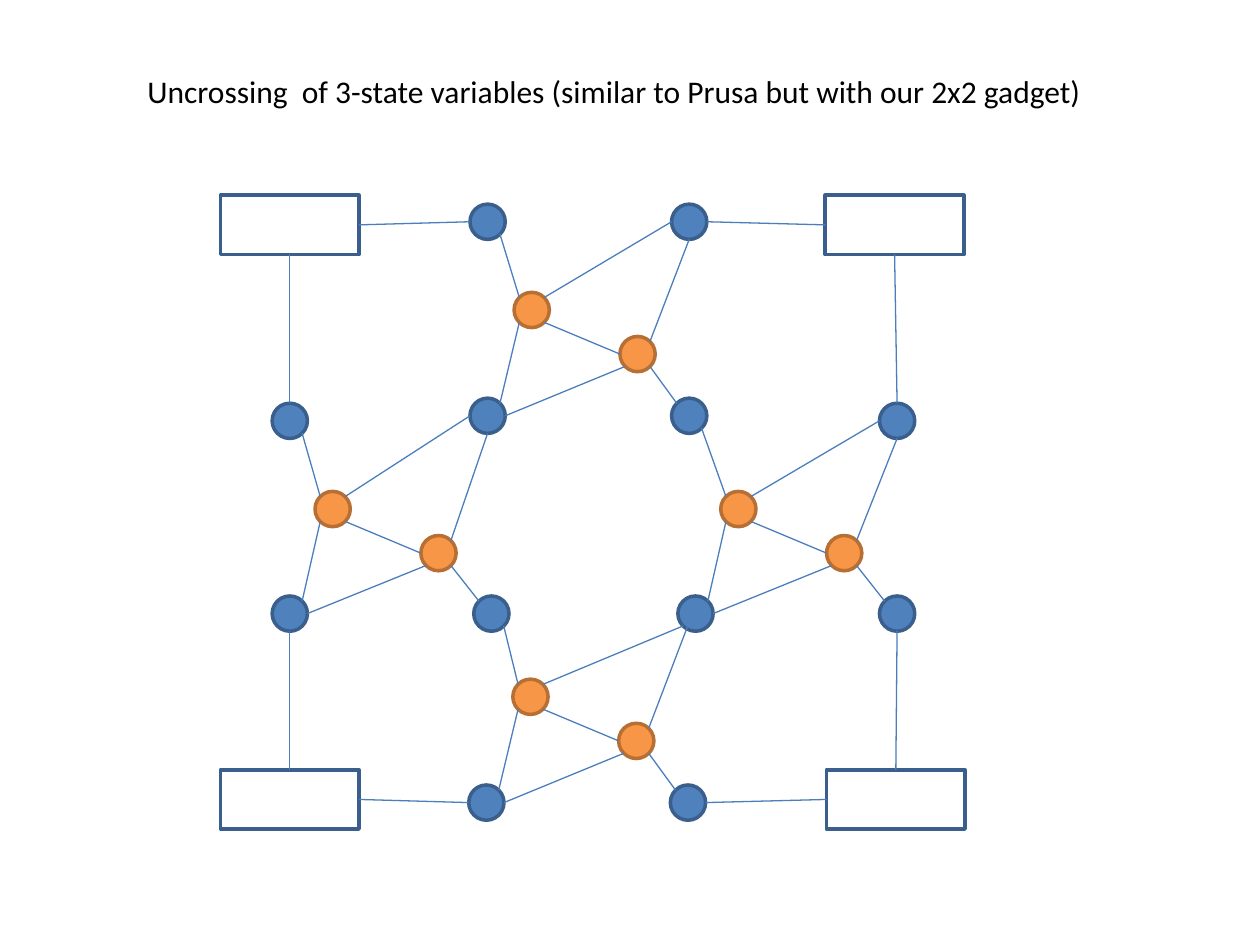
from lxml import etree
from pptx import Presentation
from pptx.dml.color import RGBColor
from pptx.enum import shapes, text
from pptx.oxml.ns import qn
from pptx.util import Inches, Pt

TITLE = "Uncrossing  of 3-state variables (similar to Prusa but with our 2x2 gadget)"
THEME = {
    "font": "Calibri", "title_size": 18, "title": "000000",
    "variable": ("4F81BD", "3A5F8C"), "inner": ("F79646", "B76F34"),
    "terminal": (None, "3A5F8C"), "outline": 2,
    "edge": "4B7EBC", "edge_width": 0.75,
}
NODE_SIZE = (0.28, 0.28)
TERMINAL_SIZE = (1.1, 0.47)

# Left and top of each variable node, named by row and column
VARIABLES = {
    "1b": (3.73, 1.62), "1c": (5.33, 1.62),
    "2a": (2.16, 3.2), "2b": (3.73, 3.16), "2c": (5.33, 3.16), "2d": (6.98, 3.2),
    "3a": (2.16, 4.73), "3b": (3.76, 4.73), "3c": (5.38, 4.73), "3d": (6.98, 4.73),
    "4b": (3.72, 6.23), "4c": (5.32, 6.23),
}
# Each gadget: place of its first inner node, its corner variables,
# and the sites where the two inner nodes meet the NE variable
GADGETS = [
    ((4.08, 2.32), {"nw": "1b", "ne": "1c", "sw": "2b", "se": "2c"}, ("left", "bottom")),
    ((2.5, 3.9), {"nw": "2a", "ne": "2b", "sw": "3a", "se": "3b"}, ("lower left", "bottom")),
    ((5.72, 3.9), {"nw": "2c", "ne": "2d", "sw": "3c", "se": "3d"}, ("left", "bottom")),
    ((4.07, 5.39), {"nw": "3b", "ne": "3c", "sw": "4b", "se": "4c"}, ("bottom left", "below")),
]
GADGETS[1] = (*GADGETS[1][:2], ("left", "bottom"))
INNER_STEP = (0.84, 0.35)

# Each terminal: place, then links (side of terminal, variable, site on variable)
TERMINALS = [
    ((1.75, 1.55), [("right", "1b", "left"), ("bottom", "2a", "top")]),
    ((6.55, 1.55), [("left", "1c", "right"), ("bottom", "2d", "top")]),
    ((1.75, 6.11), [("top", "3a", "bottom"), ("right", "4b", "left")]),
    ((6.56, 6.11), [("left", "4c", "right"), ("top", "3d", "bottom")]),
]
SIDES = ["top", "left", "bottom", "right"]

# Where a line may meet an outline, as fractions of width and height
SITES = {
    "top": (0.5, 0), "left": (0, 0.5), "bottom": (0.5, 1), "right": (1, 0.5),
    "top left": (0.15, 0.15), "top right": (0.85, 0.15),
    "bottom left": (0.15, 0.85), "bottom right": (0.85, 0.85),
    "below": (0.28, 0.85),
}


def add_outline(page, preset, place, size, style):
    fill, line = THEME[style]
    shape = page.shapes.add_shape(preset, *map(Inches, place + size))
    shape.shadow.inherit = False
    if fill:
        shape.fill.solid()
        shape.fill.fore_color.rgb = RGBColor.from_string(fill)
    else:
        shape.fill.background()
    shape.line.color.rgb = RGBColor.from_string(line)
    shape.line.width = Pt(THEME["outline"])
    return shape


def add_node(page, place, style):
    return add_outline(page, shapes.MSO_SHAPE.OVAL, place, NODE_SIZE, style)


def site_point(shape, site):
    across, down = SITES[site]
    return (int(shape.left + across * shape.width),
            int(shape.top + down * shape.height))


def add_edge(page, start, start_site, end, end_site):
    edge = page.shapes.add_connector(
        shapes.MSO_CONNECTOR.STRAIGHT,
        *site_point(start, start_site), *site_point(end, end_site))
    edge.line.color.rgb = RGBColor.from_string(THEME["edge"])
    edge.line.width = Pt(THEME["edge_width"])
    etree.SubElement(edge._element.spPr, qn("a:effectLst"))
    return edge


def add_gadget(page, variables, place, corners, ne_sites):
    second_place = tuple(a + b for a, b in zip(place, INNER_STEP))
    first = add_node(page, place, "inner")
    second = add_node(page, second_place, "inner")
    nw, ne, sw, se = (variables[corners[key]] for key in ("nw", "ne", "sw", "se"))
    for link in [
        (nw, "bottom right", first, "top left"),
        (first, "bottom right", second, "left"),
        (sw, "top right", first, "bottom left"),
        (sw, "right", second, "bottom left"),
        (first, "top right", ne, ne_sites[0]),
        (second, "top right", ne, ne_sites[1]),
        (second, "bottom right", se, "top left"),
    ]:
        add_edge(page, *link)


def add_terminal(page, variables, place, links):
    terminal = add_outline(page, shapes.MSO_SHAPE.RECTANGLE, place,
                           TERMINAL_SIZE, "terminal")
    for side, name, site in links:
        edge = add_edge(page, terminal, side, variables[name], site)
        edge.begin_connect(terminal, SIDES.index(side))


def set_title(page):
    box = page.shapes.title
    box.left, box.top, box.width, box.height = map(Inches, (1.07, 0.52, 7.64, 0.4))
    frame = box.text_frame
    frame.text = TITLE
    frame_format = {"word_wrap": False, "vertical_anchor": text.MSO_ANCHOR.TOP,
                    "auto_size": text.MSO_AUTO_SIZE.SHAPE_TO_FIT_TEXT}
    for name, value in frame_format.items():
        setattr(frame, name, value)
    para = frame.paragraphs[0]
    para.alignment = text.PP_ALIGN.LEFT
    font = para.runs[0].font
    font.name, font.size = THEME["font"], Pt(THEME["title_size"])
    font.color.rgb = RGBColor.from_string(THEME["title"])


def main():
    deck = Presentation()
    deck.slide_width, deck.slide_height = Inches(10), Inches(7.5)
    page = deck.slides.add_slide(deck.slide_layouts.get_by_name("Title Only"))
    set_title(page)
    variables = {name: add_node(page, place, "variable")
                 for name, place in VARIABLES.items()}
    for gadget in GADGETS:
        add_gadget(page, variables, *gadget)
    for terminal in TERMINALS:
        add_terminal(page, variables, *terminal)
    deck.save("out.pptx")


if __name__ == "__main__":
    main()
